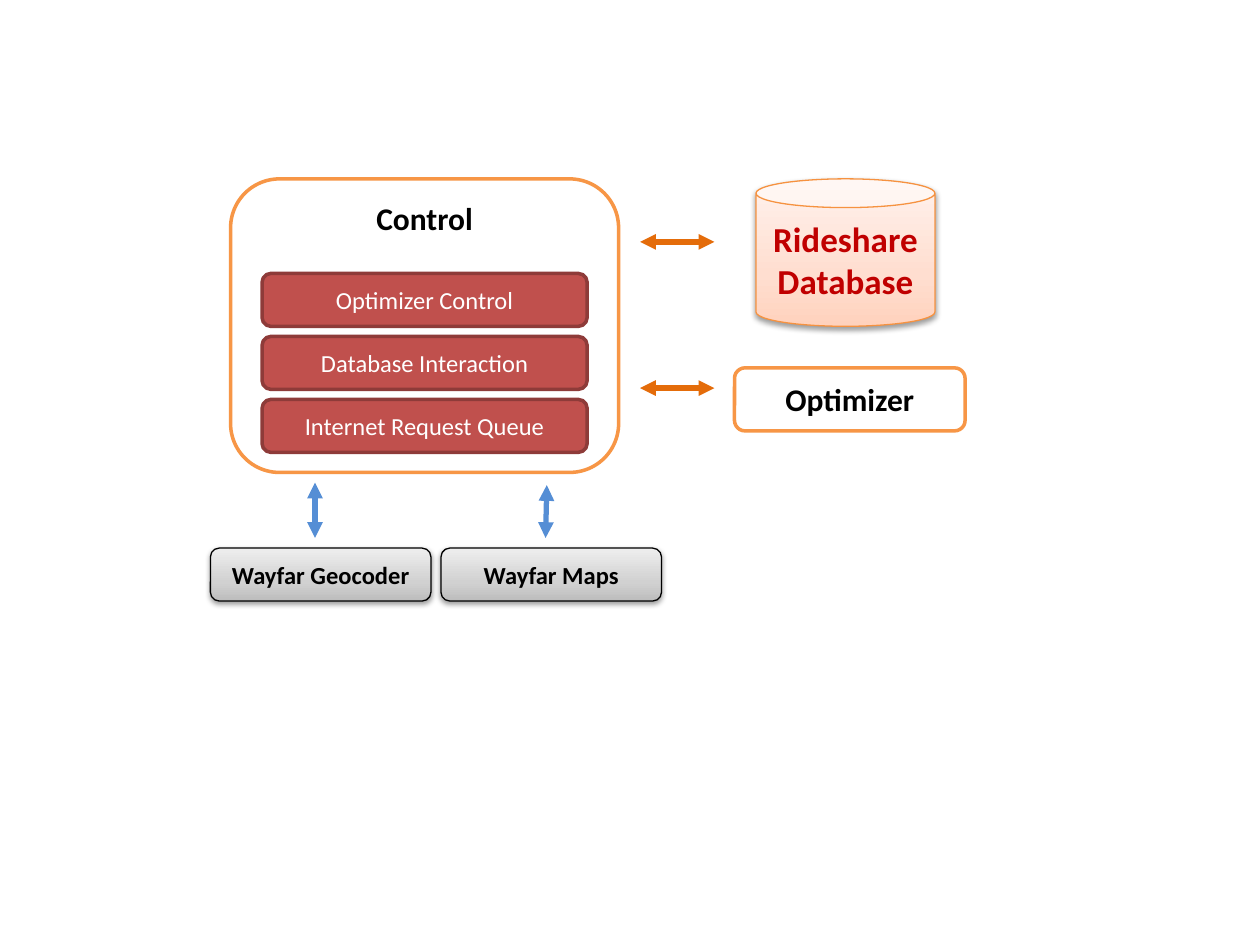
"""Build the rideshare system architecture slide."""
from lxml.etree import SubElement
from pptx import Presentation
from pptx.dml.color import RGBColor
from pptx.enum.shapes import MSO_CONNECTOR, MSO_SHAPE
from pptx.enum.text import MSO_ANCHOR, PP_ALIGN
from pptx.oxml.ns import qn
from pptx.util import Inches, Pt


def color(value):
    return RGBColor.from_string(value)


def add_box(kind, text, box, fills, outline, weight, size, text_color, bold=True):
    shape = slide.shapes.add_shape(kind, *map(Inches, box))
    shape.shadow.inherit = False
    shape.line.color.rgb = color(outline)
    shape.line.width = Pt(weight)
    properties = shape.element.spPr
    if len(fills) == 1:
        shape.fill.solid()
        shape.fill.fore_color.rgb = color(fills[0])
    else:
        shape.fill.gradient()
        shape.fill.gradient_angle = 90
        stops = properties.find(qn("a:gradFill")).find(qn("a:gsLst"))
        stops.clear()
        for position, value in zip((0, 35, 100), fills):
            stop = SubElement(stops, qn("a:gs"), pos=str(position * 1000))
            SubElement(stop, qn("a:srgbClr"), val=value)
        shadow = SubElement(properties.find(qn("a:effectLst")), qn("a:outerShdw"),
                            blurRad="40000", dist="20000", dir="5400000", rotWithShape="0")
        shade = SubElement(shadow, qn("a:srgbClr"), val="000000")
        SubElement(shade, qn("a:alpha"), val="38000")
    frame = shape.text_frame
    frame.text = text
    frame.word_wrap = True
    frame.vertical_anchor = MSO_ANCHOR.MIDDLE
    paragraph = frame.paragraphs[0]
    paragraph.alignment = PP_ALIGN.CENTER
    font = paragraph.runs[0].font
    font.name, font.size, font.bold = "Calibri", Pt(size), bold
    font.color.rgb = color(text_color)
    return shape


presentation = Presentation()
presentation.slide_width, presentation.slide_height = Inches(10), Inches(7.5)
slide = presentation.slides.add_slide(presentation.slide_layouts[6])
ROUNDED = MSO_SHAPE.ROUNDED_RECTANGLE

control = add_box(ROUNDED, "Control", (1.83, 1.42, 3.08, 2.33),
                  ["FFFFFF"], "F79646", 2, 18, "000000")
control.text_frame.vertical_anchor = MSO_ANCHOR.TOP
add_box(ROUNDED, "Optimizer", (5.83, 2.92, 1.83, 0.5), ["FFFFFF"], "F79646", 2, 18, "000000")

modules_in_control = ["Optimizer Control", "Database Interaction", "Internet Request Queue"]
for index, name in enumerate(modules_in_control):
    add_box(ROUNDED, name, (2.08, 2.17 + 0.5 * index, 2.58, 0.42),
            ["C0504D"], "8E3B39", 2, 14, "FFFFFF", bold=False)

database = add_box(MSO_SHAPE.CAN, "Rideshare Database", (6, 1.42, 1.42, 1.17),
                   ["FFD2BD", "FFDED0", "FFF2ED"], "F69240", 0.75, 20, "C00000")
database.adjustments[0] = 0.195

for left, name in [(1.67, "Wayfar Geocoder"), (3.5, "Wayfar Maps")]:
    add_box(ROUNDED, name, (left, 4.35, 1.75, 0.42),
            ["BDBDBD", "D1D1D1", "EEEEEE"], "000000", 0.75, 14, "000000")

arrows = [
    ((5.67, 1.92, 5.08, 1.92), "E46C0A"),
    ((5.67, 3.08, 5.08, 3.08), "E46C0A"),
    ((2.5, 4.27, 2.5, 3.83), "558ED5"),
    ((4.33, 4.27, 4.34, 3.85), "558ED5"),
]
for ends, arrow_color in arrows:
    connector = slide.shapes.add_connector(MSO_CONNECTOR.STRAIGHT, *map(Inches, ends))
    connector.line.color.rgb = color(arrow_color)
    connector.line.width = Pt(3)
    properties = connector.element.spPr
    for tip in ("a:headEnd", "a:tailEnd"):
        SubElement(properties.find(qn("a:ln")), qn(tip), type="triangle")
    SubElement(properties, qn("a:effectLst"))

presentation.save("out.pptx")
